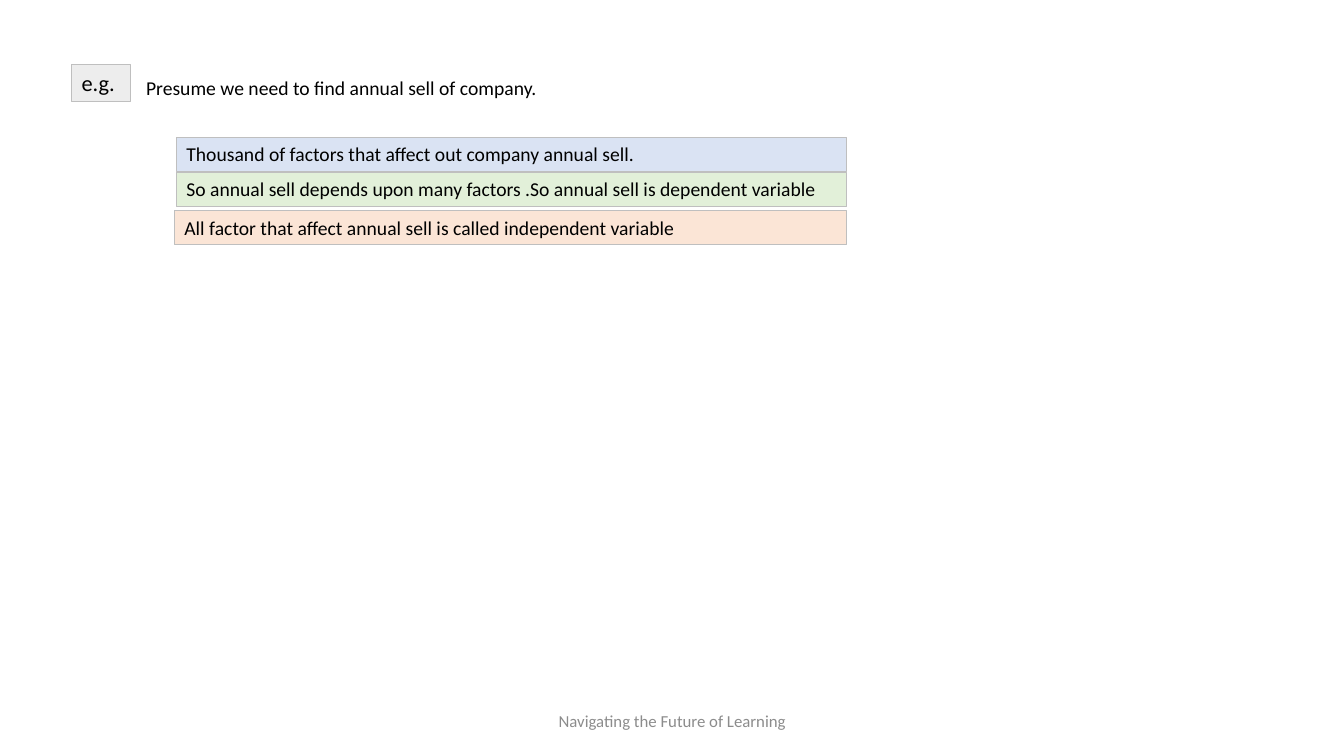
"""Build a slide that explains dependent and independent variables."""
from pptx import Presentation
from pptx.dml.color import RGBColor
from pptx.enum.shapes import MSO_SHAPE
from pptx.enum.text import MSO_ANCHOR, MSO_AUTO_SIZE, PP_ALIGN
from pptx.util import Inches, Pt

BLACK = RGBColor(0x00, 0x00, 0x00)
GREY = RGBColor(0x8C, 0x8C, 0x8C)
EDGE = RGBColor(0xBF, 0xBF, 0xBF)
PALE = RGBColor(0xED, 0xED, 0xED)
BLUE = RGBColor(0xDA, 0xE3, 0xF3)
GREEN = RGBColor(0xE2, 0xF0, 0xD9)
PEACH = RGBColor(0xFB, 0xE5, 0xD6)

deck = Presentation()
deck.slide_width, deck.slide_height = Inches(13.33), Inches(7.5)
col, row = deck.slide_width / 100, deck.slide_height / 100
slide = deck.slides.add_slide(deck.slide_layouts[6])


def write(box, text, size, color=BLACK, align=PP_ALIGN.LEFT, **frame):
    """Put one formatted line of text in a box."""
    base = {"word_wrap": True, "vertical_anchor": MSO_ANCHOR.TOP,
            "auto_size": MSO_AUTO_SIZE.SHAPE_TO_FIT_TEXT}
    for name, value in (base | frame).items():
        setattr(box.text_frame, name, value)
    line = box.text_frame.paragraphs[0]
    line.text, line.alignment = text, align
    for name, value in {"name": "Calibri", "size": Pt(size)}.items():
        setattr(line.font, name, value)
    line.font.color.rgb = color


def panel(home, left, top, wide, high, fill):
    """Add a filled rectangle with a thin grey edge."""
    box = home.add_shape(MSO_SHAPE.RECTANGLE, int(left * col), int(top * row),
                         int(wide * col), int(high * row))
    box.shadow.inherit = False
    box.fill.solid()
    box.fill.fore_color.rgb = fill
    box.line.color.rgb = EDGE
    box.line.width = Pt(0.75)
    return box


foot = slide.shapes.add_textbox(int(33.15 * col), int(92.67 * row),
                                int(33.75 * col), int(5.33 * row))
write(foot, "Navigating the Future of Learning", 12, GREY, PP_ALIGN.CENTER,
      vertical_anchor=MSO_ANCHOR.MIDDLE, auto_size=MSO_AUTO_SIZE.NONE)

tag = panel(slide.shapes, 5.33, 8.53, 4.35, 4.93, PALE)
write(tag, "e.g.", 16, word_wrap=False)

lead = slide.shapes.add_textbox(int(10.13 * col), int(9.33 * row),
                                int(30.83 * col), int(4.53 * row))
write(lead, "Presume we need to find annual sell of company.", 14, word_wrap=False)

right = 63.01
facts = [
    (12.98, 27.87, PEACH, "All factor that affect annual sell is called independent variable"),
    (13.13, 18.13, BLUE, "Thousand of factors that affect out company annual sell."),
    (13.13, 22.8, GREEN,
     "So annual sell depends upon many factors .So annual sell is dependent variable"),
]
group = slide.shapes.add_group_shape()
for left, top, fill, text in facts:
    write(panel(group.shapes, left, top, right - left, 4.53, fill), text, 14)

deck.save("out.pptx")
